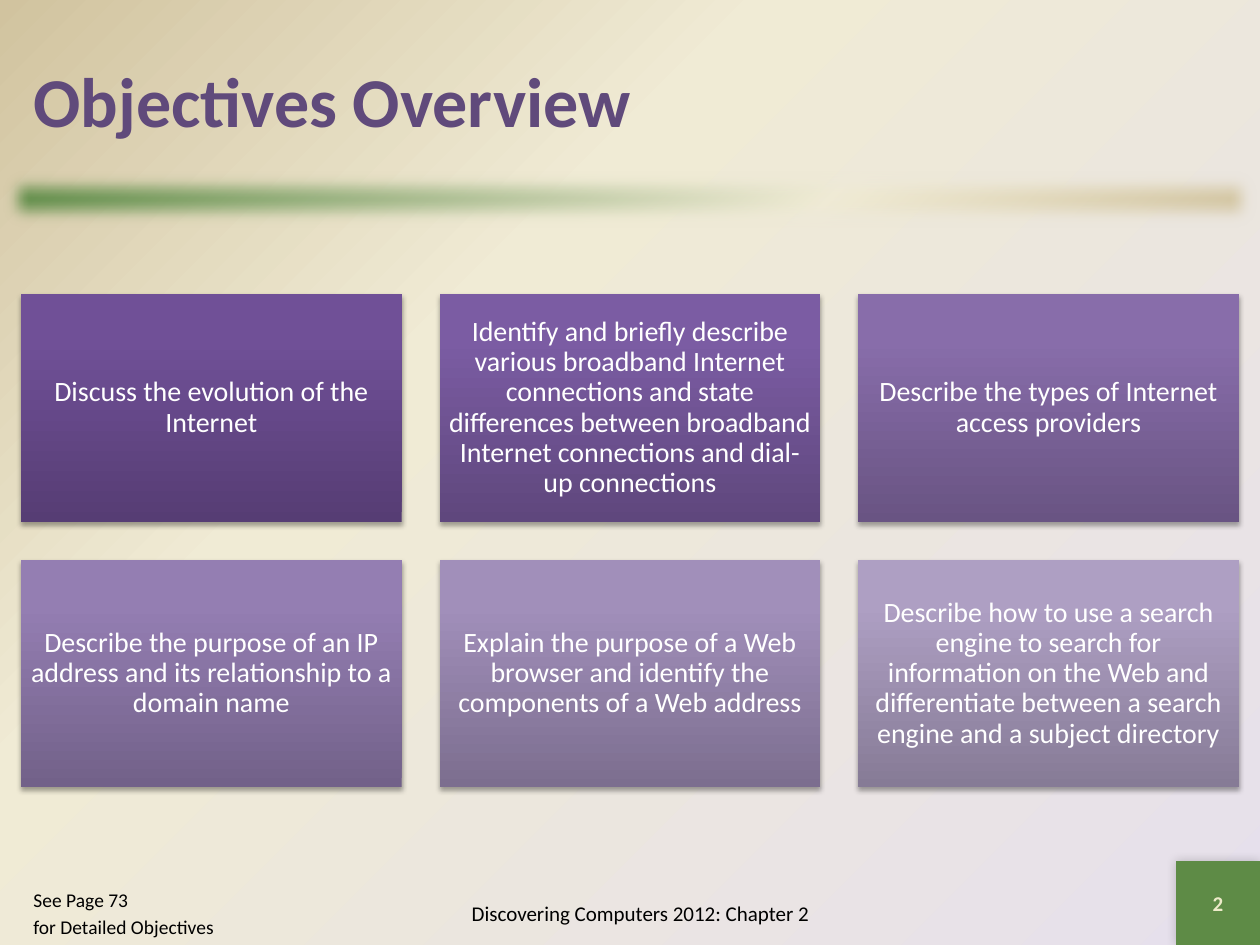
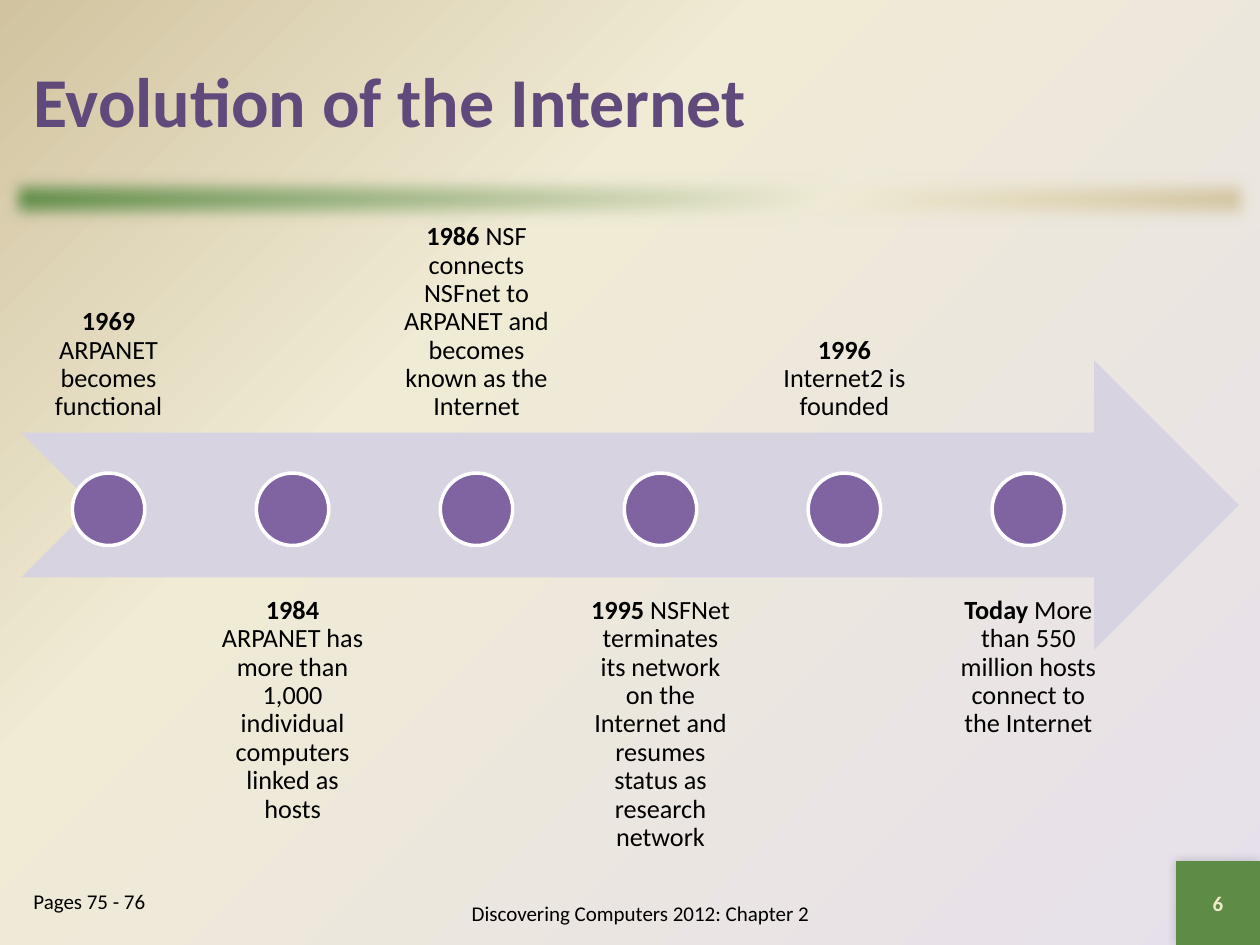
"""Build two slides on the growth of the Internet."""
import dataclasses

import lxml.etree
import pptx
import pptx.dml.color
import pptx.enum.shapes
import pptx.enum.text
import pptx.oxml.ns
import pptx.util

SHAPE = pptx.enum.shapes.MSO_SHAPE
ALIGN = pptx.enum.text.PP_ALIGN
ANCHOR = pptx.enum.text.MSO_ANCHOR
UNIT = pptx.util.Inches(1) // 6
COLS, ROWS = 60, 45


@dataclasses.dataclass(frozen=True)
class Theme:
    """Colours, font and type sizes of the deck."""
    font: str = "Calibri"
    title: str = "604A7B"
    black: str = "000000"
    white: str = "FFFFFF"
    green: str = "5E8B46"
    cream: str = "F0EBD5"
    sand: str = "D1C39F"
    lilac: str = "E6E0EC"
    number: str = "EEEBCA"
    arrow: str = "D8D3E0"
    dot: str = "8064A2"
    tiles: tuple = (
        ("563D74", "705097", "704F99"), ("5F477D", "7B5CA3", "7C5BA5"),
        ("695483", "886DAA", "886DAC"), ("726189", "947EB2", "957EB4"),
        ("7C6E8F", "A18FBA", "A18FBC"), ("867B96", "AE9FC3", "AE9FC4"))
    title_size: float = 40
    tile_size: float = 16
    label_size: float = 15
    small_size: float = 12
    note_size: float = 11.1


@dataclasses.dataclass(frozen=True)
class Box:
    """A region in grid columns and rows."""
    x: float
    y: float
    w: float
    h: float

    def inner(self, x, y, w, h):
        """Return a box placed relative to this one."""
        return Box(self.x + x, self.y + y, w, h)

    def cell(self, i, cols, rows, gap):
        """Return cell i of an even grid read row by row."""
        w = (self.w - gap * (cols - 1)) / cols
        h = (self.h - gap * (rows - 1)) / rows
        row, col = divmod(i, cols)
        return self.inner(col * (w + gap), row * (h + gap), w, h)

    def emu(self):
        """Return left, top, width and height in EMU."""
        return [round(v * UNIT) for v in (self.x, self.y, self.w, self.h)]


THEME = Theme()
PAGE = Box(0, 0, COLS, ROWS)
TITLE = PAGE.inner(1, 1, 58, 7.5)
BAND = PAGE.inner(0, 8, COLS, 3)
CORNER = PAGE.inner(56, 41, 4, 4)
FOOTER = PAGE.inner(18, 42, 25, 3)
NOTE = PAGE.inner(1, 42, 11, 3)
TILES = PAGE.inner(1, 14, 58, 23.5)
TIMELINE = PAGE.inner(1, 7, 58, 34.5)

OBJECTIVES = (
    "Discuss the evolution of the Internet",
    "Identify and briefly describe various broadband Internet connections "
    "and state differences between broadband Internet connections and "
    "dial-up connections",
    "Describe the types of Internet access providers",
    "Describe the purpose of an IP address and its relationship to a "
    "domain name",
    "Explain the purpose of a Web browser and identify the components of a "
    "Web address",
    "Describe how to use a search engine to search for information on the "
    "Web and differentiate between a search engine and a subject directory")

EVENTS = (
    ("1969", "ARPANET becomes functional"),
    ("1984", "ARPANET has more than 1,000 individual computers linked as "
             "hosts"),
    ("1986", "NSF connects NSFnet to ARPANET and becomes known as the "
             "Internet"),
    ("1995", "NSFNet terminates its network on the Internet and resumes "
             "status as research network"),
    ("1996", "Internet2 is founded"),
    ("Today", "More than 550 million hosts connect to the Internet"))


def rgb(color):
    """Turn a hex string into a colour."""
    return pptx.dml.color.RGBColor.from_string(color)


def add_xml(parent, tag, **attrs):
    """Append a drawing element with attributes and return it."""
    child = lxml.etree.SubElement(parent, pptx.oxml.ns.qn(tag))
    for name, value in attrs.items():
        child.set(name, str(value))
    return child


def set_gradient(parent, colors, middle, angle=None):
    """Swap a solid fill for a linear gradient, or one from the far corner."""
    solid = parent.find(pptx.oxml.ns.qn("a:solidFill"))
    grad = lxml.etree.Element(pptx.oxml.ns.qn("a:gradFill"), rotWithShape="1")
    stops = add_xml(grad, "a:gsLst")
    for color, pos in zip(colors, (0, middle, 100)):
        stop = add_xml(stops, "a:gs", pos=pos * 1000)
        add_xml(stop, "a:srgbClr", val=color)
    if angle is None:
        circle = add_xml(grad, "a:path", path="circle")
        add_xml(circle, "a:fillToRect", l=100000, t=100000)
        add_xml(grad, "a:tileRect", r=-100000, b=-100000)
    else:
        add_xml(grad, "a:lin", ang=angle * 60000, scaled=0)
    parent.replace(solid, grad)


def set_shadow(sp, alpha, blur, dist, angle):
    """Give a shape an outer black shadow."""
    effects = sp._element.spPr.find(pptx.oxml.ns.qn("a:effectLst"))
    shadow = add_xml(effects, "a:outerShdw",
                     blurRad=pptx.util.Pt(blur), dist=pptx.util.Pt(dist),
                     dir=angle * 60000, algn="ctr", rotWithShape=0)
    color = add_xml(shadow, "a:srgbClr", val=THEME.black)
    add_xml(color, "a:alpha", val=alpha * 1000)


def add_shape(slide, kind, box, fill, line=None):
    """Add a plain filled shape."""
    sp = slide.shapes.add_shape(kind, *box.emu())
    sp.shadow.inherit = False
    sp.fill.solid()
    sp.fill.fore_color.rgb = rgb(fill)
    if line:
        sp.line.color.rgb = rgb(line)
        sp.line.width = pptx.util.Pt(2)
    else:
        sp.line.fill.background()
    return sp


def write(sp, paragraphs, size, color=THEME.black, bold=False, lead=None,
          align=ALIGN.CENTER, anchor=ANCHOR.MIDDLE, inset=None,
          spacing=None, before=0):
    """Write paragraphs into a shape, with an optional bold lead-in."""
    tf = sp.text_frame
    tf.word_wrap = True
    tf.auto_size = pptx.enum.text.MSO_AUTO_SIZE.NONE
    tf.vertical_anchor = anchor
    if inset is not None:
        tf.margin_left = tf.margin_right = pptx.util.Inches(inset)
        tf.margin_top = tf.margin_bottom = pptx.util.Inches(inset)
    for i, text in enumerate(paragraphs):
        p = tf.add_paragraph() if i else tf.paragraphs[0]
        p.alignment = align
        if spacing:
            p.line_spacing = spacing
        if i and before:
            p.space_before = pptx.util.Pt(before)
        runs = [(lead, True), (" " + text, bold)] if lead else [(text, bold)]
        for words, weight in runs:
            r = p.add_run()
            r.text = words
            r.font.name = THEME.font
            r.font.size = pptx.util.Pt(size)
            r.font.bold = weight
            r.font.color.rgb = rgb(color)


def add_text(slide, box, paragraphs, size, **fmt):
    """Add a text box."""
    write(slide.shapes.add_textbox(*box.emu()), paragraphs, size, **fmt)


def set_background(master):
    """Fill the master with the corner gradient."""
    master.background.fill.solid()
    bg = master._element.cSld.bg.bgPr
    set_gradient(bg, (THEME.lilac, THEME.cream, THEME.sand), 65)


def add_band(slide, box):
    """Draw the soft-edged band below the title."""
    sp = add_shape(slide, SHAPE.RECTANGLE, box, THEME.green)
    spPr = sp._element.spPr
    set_gradient(spPr, (THEME.green, THEME.cream, THEME.sand), 65, 45)
    effects = spPr.find(pptx.oxml.ns.qn("a:effectLst"))
    add_xml(effects, "a:softEdge", rad=pptx.util.Pt(10))


def add_corner(slide, box, number):
    """Draw the corner square with the slide number."""
    sp = add_shape(slide, SHAPE.RECTANGLE, box, THEME.green)
    set_shadow(sp, 20, 6, 0, 225)
    write(sp, [number], THEME.small_size, color=THEME.number, bold=True)


def add_slide(prs, title, number, note, note_size):
    """Add a slide with its title, band, corner and footers."""
    slide = prs.slides.add_slide(prs.slide_layouts[5])
    add_band(slide, BAND)
    add_corner(slide, CORNER, number)
    sp = slide.shapes.title
    sp.left, sp.top, sp.width, sp.height = TITLE.emu()
    write(sp, [title], THEME.title_size, color=THEME.title, bold=True,
          align=ALIGN.LEFT)
    add_text(slide, FOOTER, ["Discovering Computers 2012: Chapter 2"],
             THEME.small_size)
    add_text(slide, NOTE, note, note_size, align=ALIGN.LEFT,
             anchor=ANCHOR.TOP, before=0.2 * note_size)
    return slide


def add_tiles(slide, box, texts):
    """Lay out the objectives as a grid of three columns and two rows."""
    for i, (text, colors) in enumerate(zip(texts, THEME.tiles)):
        sp = add_shape(slide, SHAPE.RECTANGLE, box.cell(i, 3, 2, 1.8),
                       colors[0])
        set_gradient(sp._element.spPr, colors, 80, 270)
        set_shadow(sp, 35, 3.1, 1.8, 90)
        write(sp, [text], THEME.tile_size, color=THEME.white, inset=0.07,
              spacing=0.9)


def add_timeline(slide, box, events):
    """Draw an arrow with dots and labels alternating above and below."""
    label_w, label_h, pitch, dot = 8.34, 0.4 * box.h, 8.76, 0.1 * box.h
    add_shape(slide, SHAPE.NOTCHED_RIGHT_ARROW,
              box.inner(0, 10.15, box.w, label_h), THEME.arrow)
    for i, (date, text) in enumerate(events):
        x, below = i * pitch, i % 2
        label = box.inner(x, below * (box.h - label_h), label_w, label_h)
        add_text(slide, label, [text], THEME.label_size, lead=date,
                 anchor=ANCHOR.TOP if below else ANCHOR.BOTTOM, inset=0.12,
                 spacing=0.9)
        add_shape(slide, SHAPE.OVAL,
                  box.inner(x + (label_w - dot) / 2, (box.h - dot) / 2,
                            dot, dot), THEME.dot, THEME.white)


def main():
    """Build and save the deck."""
    prs = pptx.Presentation()
    prs.slide_width, prs.slide_height = COLS * UNIT, ROWS * UNIT
    set_background(prs.slide_master)
    slide = add_slide(prs, "Objectives Overview", "2",
                      ["See Page 73", "for Detailed Objectives"],
                      THEME.note_size)
    add_tiles(slide, TILES, OBJECTIVES)
    slide = add_slide(prs, "Evolution of the Internet", "6",
                      ["Pages 75 - 76"], THEME.small_size)
    add_timeline(slide, TIMELINE, EVENTS)
    prs.save("out.pptx")


if __name__ == "__main__":
    main()
